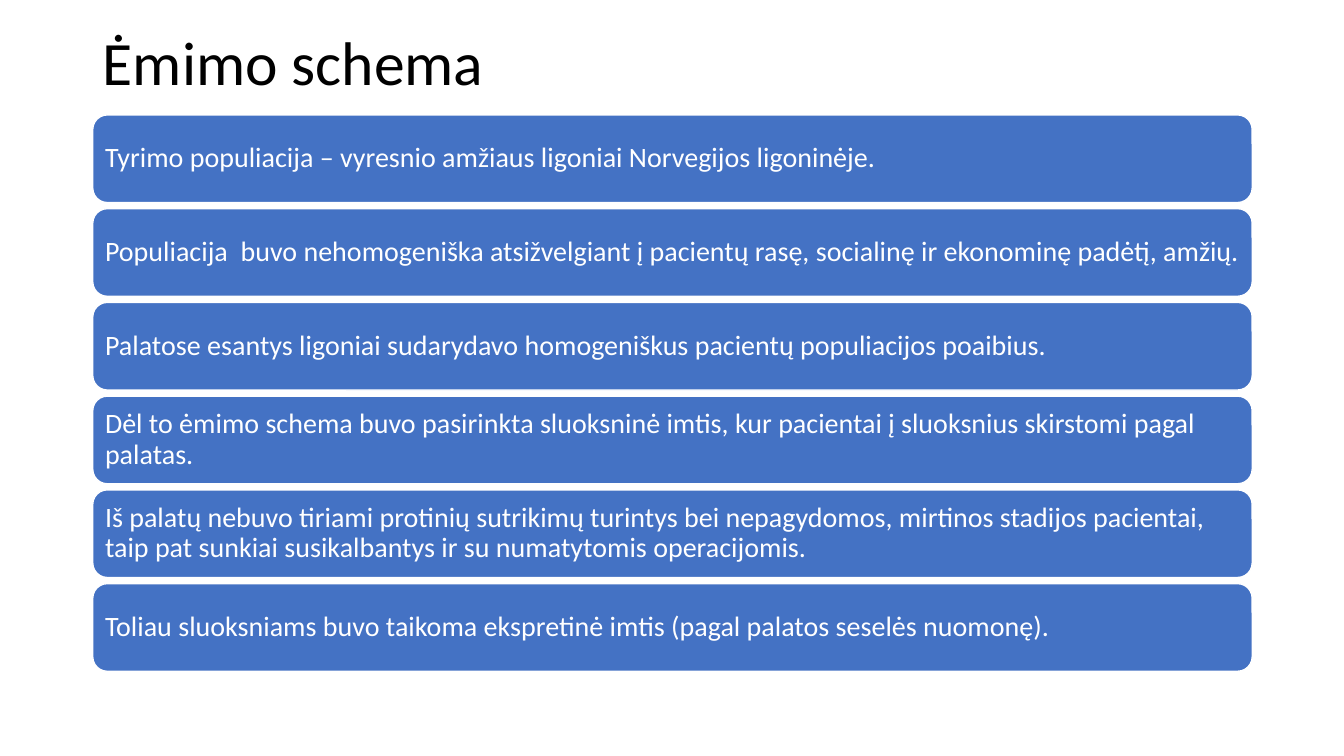
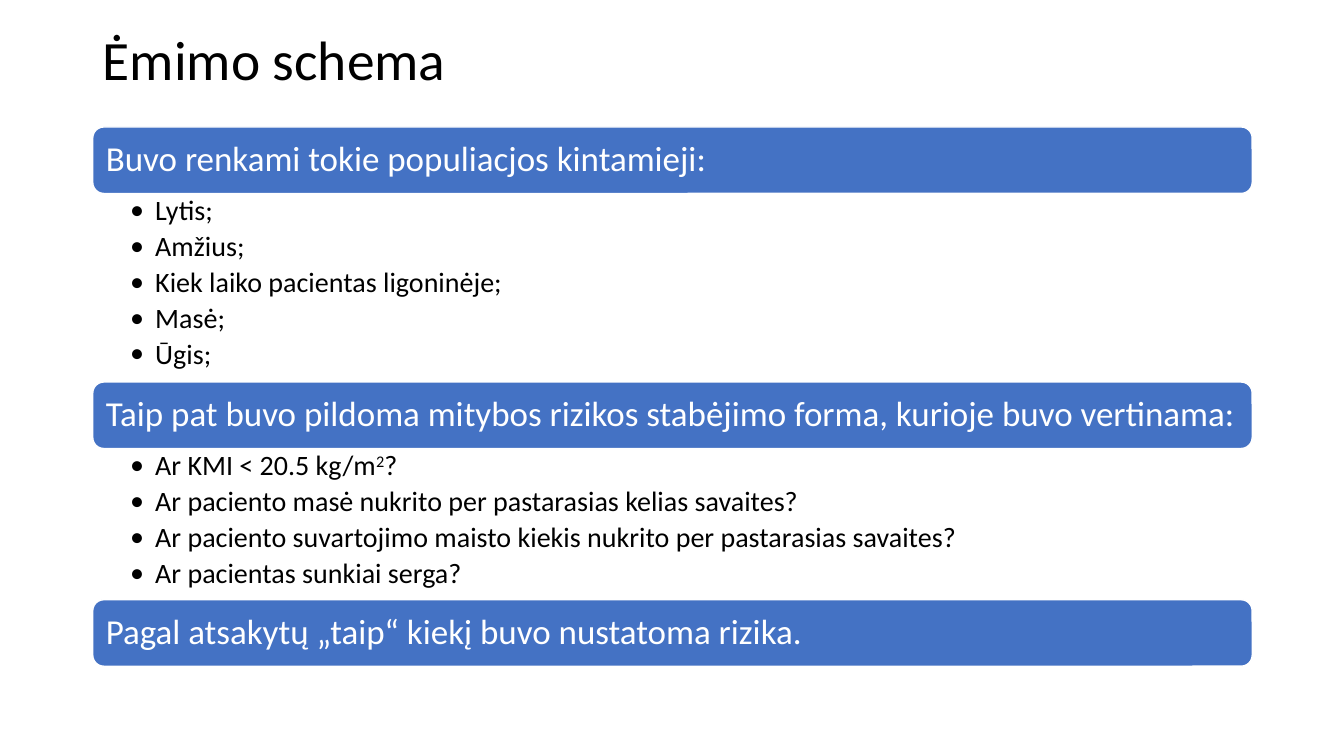
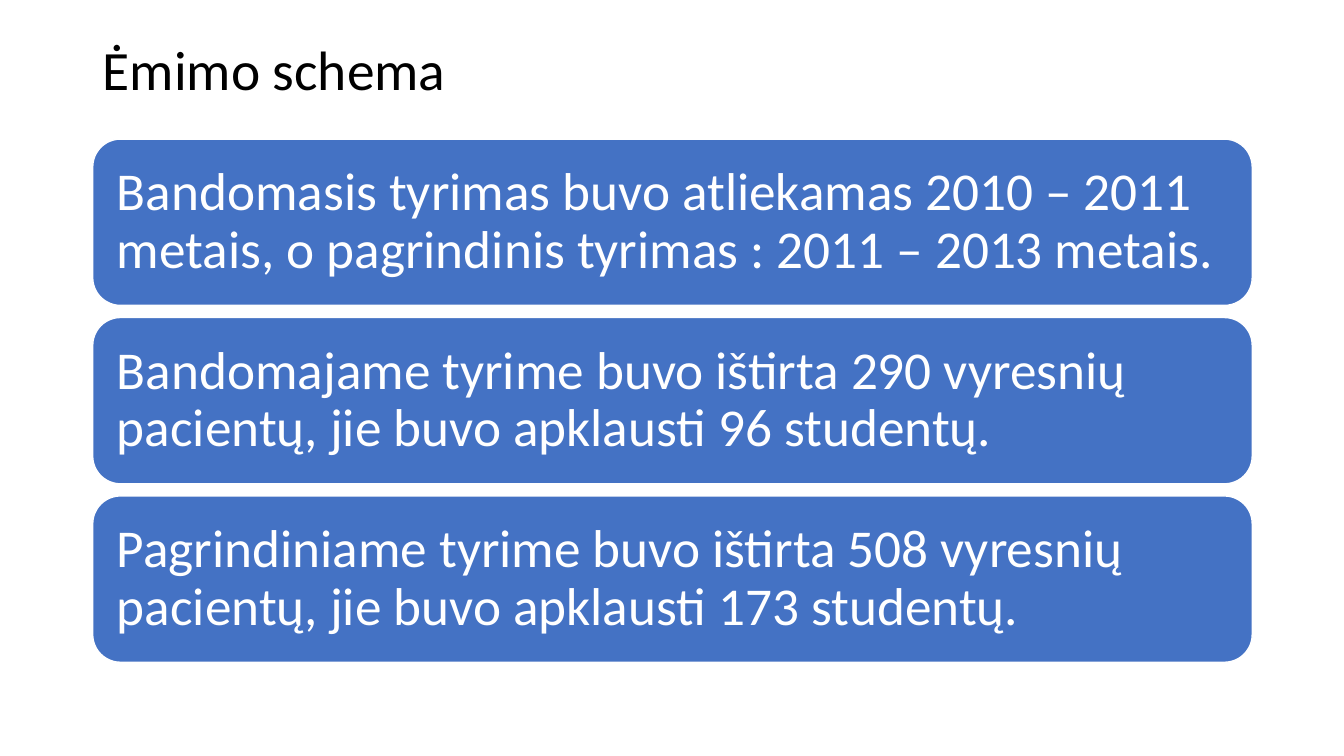
"""Build three slides on the sampling scheme as stacked bars and lists."""
from lxml import etree
from pptx import Presentation, util as u
from pptx.dml.color import RGBColor
from pptx.enum import shapes, text
from pptx.oxml.ns import qn

PX = 9144
LEFT, WIDE = 92, 1150
FONT, BLUE, WHITE, BLACK = "Calibri", "4472C4", "FFFFFF", "000000"
TITLE = "Ėmimo schema"


def color(fmt, code):
    fmt.rgb = RGBColor.from_string(code)


def style(frame, size, code, pads, after=0):
    frame.word_wrap = True
    frame.auto_size = text.MSO_AUTO_SIZE.NONE
    frame.margin_left, frame.margin_top, frame.margin_right, frame.margin_bottom = [
        pad * PX for pad in pads]
    for para in frame.paragraphs:
        para.alignment = text.PP_ALIGN.LEFT
        para.line_spacing = 0.9
        para.space_after = u.Pt(after)
        for run in para.runs:
            run.font.name, run.font.size = FONT, u.Pt(size)
            color(run.font.color, code)


slides = [
    (24, 82, 44, 114, 87, 6, 20, 8, [
        ("Tyrimo populiacija – vyresnio amžiaus ligoniai Norvegijos ligoninėje.", []),
        ("Populiacija  buvo nehomogeniška atsižvelgiant į pacientų rasę, "
         "socialinę ir ekonominę padėtį, amžių.", []),
        ("Palatose esantys ligoniai sudarydavo homogeniškus pacientų populiacijos poaibius.", []),
        ("Dėl to ėmimo schema buvo pasirinkta sluoksninė imtis, "
         "kur pacientai į sluoksnius skirstomi pagal palatas.", []),
        ("Iš palatų nebuvo tiriami protinių sutrikimų turintys bei nepagydomos, "
         "mirtinos stadijos pacientai, taip pat sunkiai susikalbantys "
         "ir su numatytomis operacijomis.", []),
        ("Toliau sluoksniams buvo taikoma ekspretinė imtis (pagal palatos seselės nuomonę).", []),
    ]),
    (25, 74, 39.6, 126, 66, 0, 25, 10, [
        ("Buvo renkami tokie populiacjos kintamieji:",
         ["Lytis;", "Amžius;", "Kiek laiko pacientas ligoninėje;", "Masė;", "Ūgis;"]),
        ("Taip pat buvo pildoma mitybos rizikos stabėjimo forma, kurioje buvo vertinama:",
         ["Ar KMI < 20.5 kg/m^2^?",
          "Ar paciento masė nukrito per pastarasias kelias savaites?",
          "Ar paciento suvartojimo maisto kiekis nukrito per pastarasias savaites?",
          "Ar pacientas sunkiai serga?"]),
        ("Pagal atsakytų „taip“ kiekį buvo nustatoma rizika.", []),
    ]),
    (43, 57, 39.6, 138, 165, 12, 38, 16, [
        ("Bandomasis tyrimas buvo atliekamas 2010 – 2011 metais, "
         "o pagrindinis tyrimas : 2011 – 2013 metais.", []),
        ("Bandomajame tyrime buvo ištirta 290 vyresnių pacientų, "
         "jie buvo apklausti 96 studentų.", []),
        ("Pagrindiniame tyrime buvo ištirta 508 vyresnių pacientų, "
         "jie buvo apklausti 173 studentų.", []),
    ]),
]

deck = Presentation()
deck.slide_width, deck.slide_height = u.Inches(13.33), u.Inches(7.5)

for head, tall, big, top, high, gap, size, pad, bars in slides:
    slide = deck.slides.add_slide(deck.slide_layouts[5])
    title = slide.shapes.title
    title.left, title.top, title.width, title.height = [
        n * PX for n in (LEFT, head, WIDE, tall)]
    title.text_frame.text = TITLE
    title.text_frame.vertical_anchor = text.MSO_ANCHOR.MIDDLE
    style(title.text_frame, big, BLACK, (10, 5, 10, 5))

    for label, items in bars:
        bar = slide.shapes.add_shape(
            shapes.MSO_SHAPE.ROUNDED_RECTANGLE, LEFT * PX, top * PX, WIDE * PX, high * PX)
        bar.shadow.inherit = False
        bar.fill.solid()
        color(bar.fill.fore_color, BLUE)
        color(bar.line.color, WHITE)
        bar.line.width = u.Pt(1)
        bar.text_frame.text = label
        bar.text_frame.vertical_anchor = text.MSO_ANCHOR.MIDDLE
        style(bar.text_frame, size, WHITE, (pad, 4, pad, 4))
        top += high + gap
        if not items:
            continue

        deep = 37 * len(items) + 2
        box = slide.shapes.add_textbox(LEFT * PX, top * PX, WIDE * PX, deep * PX)
        frame = box.text_frame
        for i, item in enumerate(items):
            para = frame.add_paragraph() if i else frame.paragraphs[0]
            for j, part in enumerate(item.split("^")):
                run = para.add_run()
                run.text = part
                if j == 1:
                    run.font._element.set("baseline", "30000")
        style(frame, 20, BLACK, (37, 3, 19, 3), 4)
        for para in frame.paragraphs:
            props = para._p.get_or_add_pPr()
            props.set("marL", str(25 * PX))
            props.set("indent", str(-25 * PX))
            etree.SubElement(props, qn("a:buFont")).set("typeface", FONT)
            etree.SubElement(props, qn("a:buChar")).set("char", "•")
        top += deep

deck.save("out.pptx")
